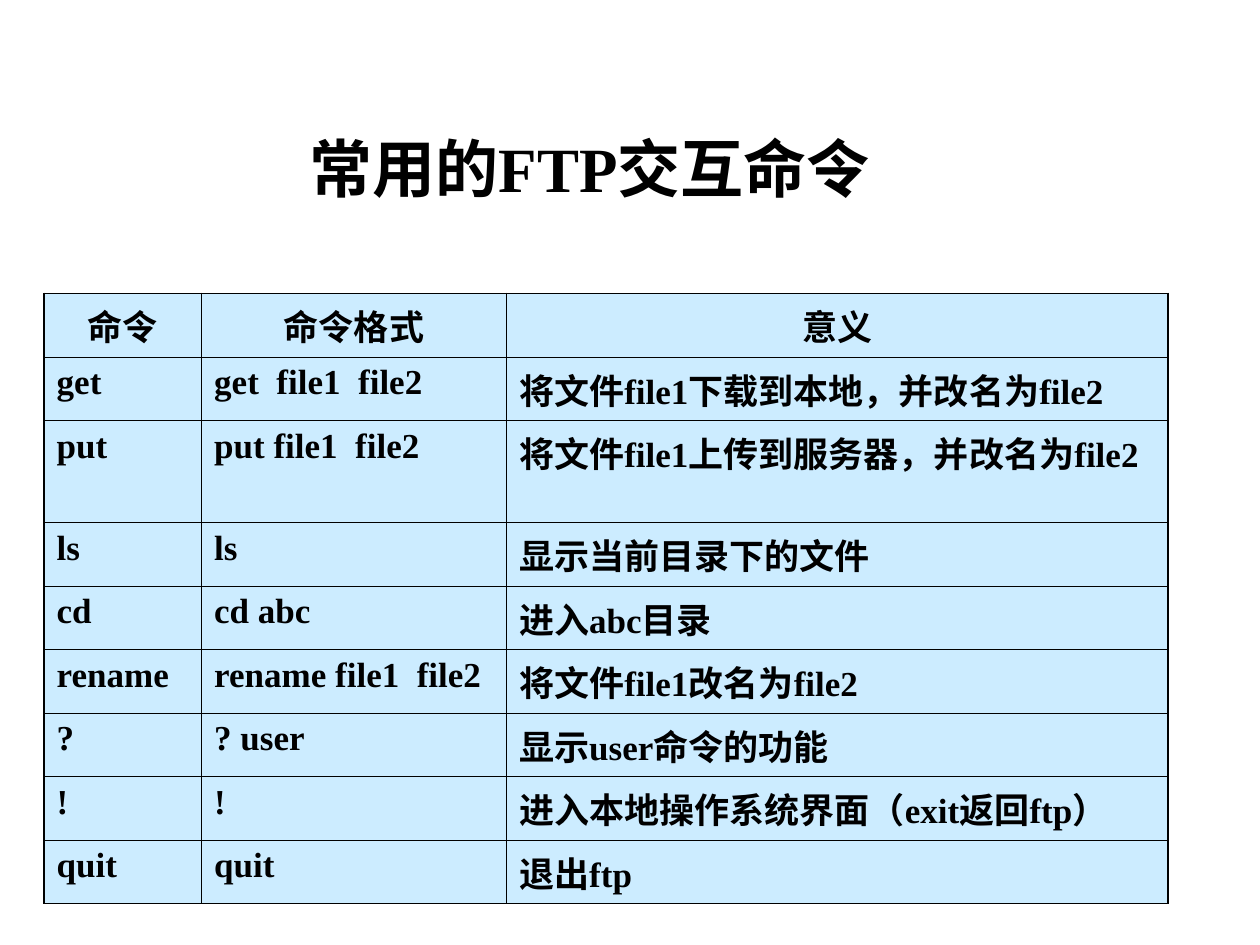
from dataclasses import dataclass

from lxml.etree import SubElement
from pptx import Presentation
from pptx.dml.color import RGBColor as Color
from pptx.enum.text import MSO_ANCHOR as Anchor, MSO_AUTO_SIZE as AutoSize, PP_ALIGN as Align
from pptx.oxml.ns import qn
from pptx.util import Inches, Pt


@dataclass(frozen=True)
class Theme:
    ink: str = "000000"
    cell: str = "CCECFF"
    heading_font: str = "Arial"
    font: str = "Times New Roman"
    title_size: int = 36
    table_size: int = 20
    outer_line: float = 1.08
    inner_line: float = 0.45


THEME = Theme()
COLUMN_WIDTHS = (1.25, 2.42, 5.25)
ROW_HEIGHT = 0.44
TALL_ROW, TALL_HEIGHT = 2, 0.77
COMMANDS = (
    ("命令", "命令格式", "意义"),
    ("get", "get  file1  file2", "将文件file1下载到本地，并改名为file2"),
    ("put", "put file1  file2", "将文件file1上传到服务器，并改名为file2"),
    ("ls", "ls", "显示当前目录下的文件"),
    ("cd", "cd abc", "进入abc目录"),
    ("rename", "rename file1  file2", "将文件file1改名为file2"),
    ("?", "? user", "显示user命令的功能"),
    ("!", "!", "进入本地操作系统界面（exit返回ftp）"),
    ("quit", "quit", "退出ftp"),
)


def write(frame, text, size, font, align):
    frame.text = text
    para = frame.paragraphs[0]
    para.alignment = align
    for span in para.runs:
        span.font.size = Pt(size)
        span.font.name = font
        span.font.bold = True
        span.font.color.rgb = Color.from_string(THEME.ink)


def add_title(page, text):
    title = page.shapes.title
    title.left, title.top = Inches(0.43), Inches(0.99)
    title.width, title.height = Inches(8.5), Inches(0.67)
    title.text_frame.auto_size = AutoSize.NONE
    title.text_frame.vertical_anchor = Anchor.MIDDLE
    write(title.text_frame, text, THEME.title_size, THEME.font, Align.CENTER)


def set_borders(cell, outer_sides):
    properties = cell._tc.get_or_add_tcPr()
    for index, side in enumerate("LRTB"):
        width = THEME.outer_line if side in outer_sides else THEME.inner_line
        line = SubElement(properties, qn(f"a:ln{side}"), w=str(int(Pt(width))))
        fill = SubElement(line, qn("a:solidFill"))
        SubElement(fill, qn("a:srgbClr"), val=THEME.ink)
        properties.insert(index, line)


def outer_sides(row, column):
    edges = {
        "L": column == 0,
        "R": column == len(COLUMN_WIDTHS) - 1,
        "T": row == 0,
        "B": row == len(COMMANDS) - 1,
    }
    return {side for side, on_edge in edges.items() if on_edge}


def add_command_table(page):
    heights = [ROW_HEIGHT] * len(COMMANDS)
    heights[TALL_ROW] = TALL_HEIGHT
    table = page.shapes.add_table(
        len(COMMANDS), len(COLUMN_WIDTHS), Inches(0.35), Inches(2.33),
        Inches(sum(COLUMN_WIDTHS)), Inches(sum(heights)),
    ).table
    for column, width in zip(table.columns, COLUMN_WIDTHS):
        column.width = Inches(width)
    for row, height in zip(table.rows, heights):
        row.height = Inches(height)
    for row, texts in enumerate(COMMANDS):
        font, align = (THEME.font, Align.LEFT) if row else (THEME.heading_font, Align.CENTER)
        for column, text in enumerate(texts):
            cell = table.cell(row, column)
            write(cell.text_frame, text, THEME.table_size, font, align)
            cell.fill.solid()
            cell.fill.fore_color.rgb = Color.from_string(THEME.cell)
            set_borders(cell, outer_sides(row, column))


def main():
    deck = Presentation()
    deck.slide_width, deck.slide_height = Inches(10), Inches(7.5)
    page = deck.slides.add_slide(deck.slide_layouts.get_by_name("Title Only"))
    add_title(page, "常用的FTP交互命令")
    add_command_table(page)
    deck.save("out.pptx")


if __name__ == "__main__":
    main()
